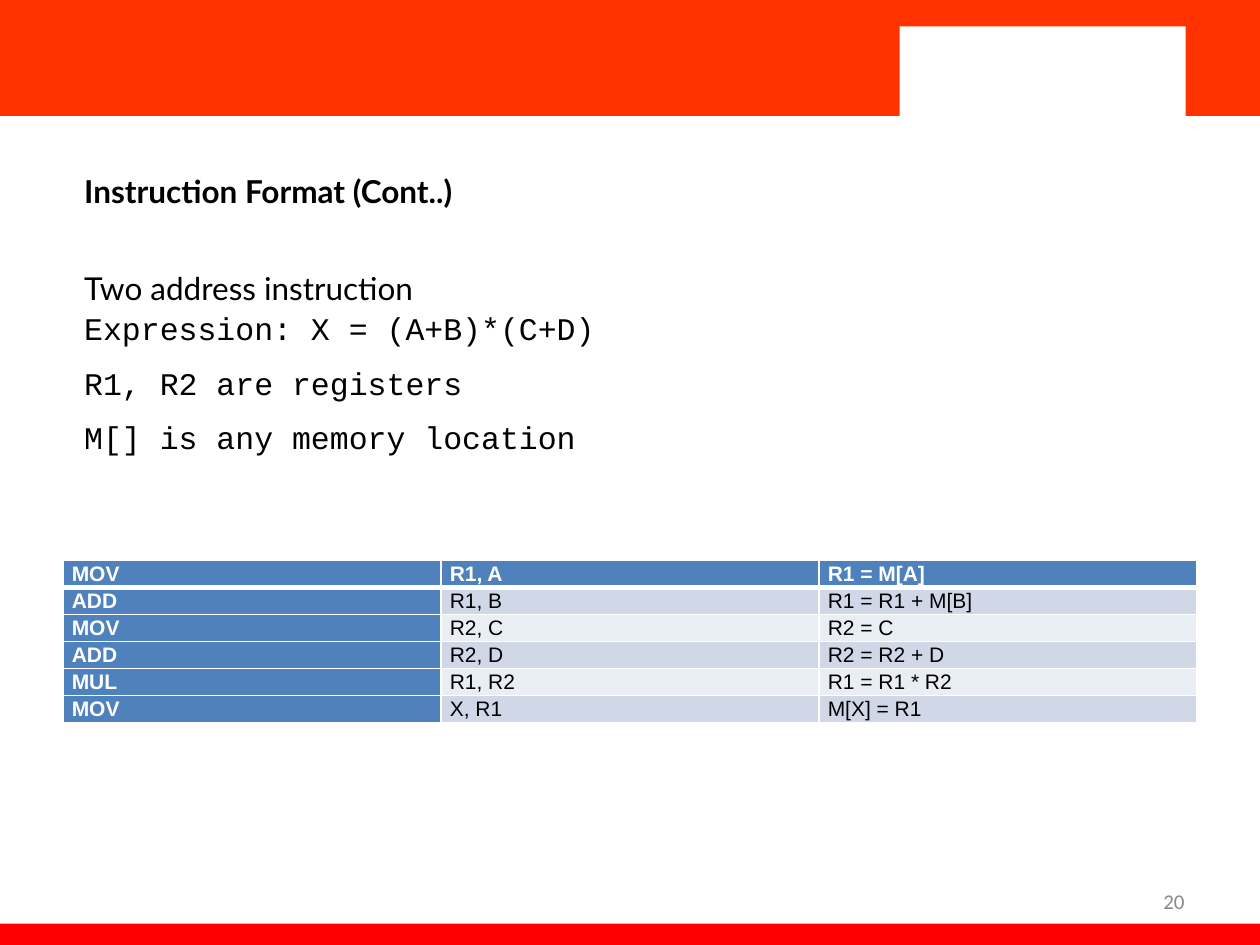
"""Build the slide on two address instructions."""
from lxml import etree
from pptx import Presentation
from pptx.dml.color import RGBColor
from pptx.enum.shapes import MSO_SHAPE
from pptx.enum.text import MSO_ANCHOR, PP_ALIGN
from pptx.oxml.ns import qn
from pptx.util import Inches, Pt

RECT = MSO_SHAPE.RECTANGLE
MIDDLE = MSO_ANCHOR.MIDDLE
LEFT, RIGHT, JUST = PP_ALIGN.LEFT, PP_ALIGN.RIGHT, PP_ALIGN.JUSTIFY

HUES = {
    "banner": "FF3300", "footer": "FF0000", "white": "FFFFFF",
    "black": "000000", "grey": "898989", "head": "4F81BD",
    "odd": "D0D8E8", "even": "E9EDF4",
}
BARS = [
    ("banner", 0, 0, 10, 0.92),
    ("footer", 0, 7.33, 10, 0.17),
    ("white", 7.14, 0.21, 2.27, 0.75),
]
TITLE = "Instruction Format (Cont..)"
TOPIC = "Two address instruction"
NOTES = [
    "Expression: X = (A+B)*(C+D)",
    "R1, R2 are registers",
    "M[] is any memory location",
]
NUMBER = "20"
CODE = [
    ("MOV", "R1, A", "R1 = M[A]"),
    ("ADD", "R1, B", "R1 = R1 + M[B]"),
    ("MOV", "R2, C", "R2 = C"),
    ("ADD", "R2, D", "R2 = R2 + D"),
    ("MUL", "R1, R2", "R1 = R1 * R2"),
    ("MOV", "X, R1", "M[X] = R1"),
]
ROW = 0.2


def color(name):
    return RGBColor.from_string(HUES[name])


def style(para, font, size, hue="black", bold=False, align=LEFT, line=1.0, after=0):
    para.alignment = align
    para.line_spacing = line
    para.space_after = Pt(after)
    for run in para.runs:
        run.font.name = font
        run.font.size = Pt(size)
        run.font.bold = bold
        run.font.color.rgb = color(hue)


def add_bar(slide, hue, *place):
    bar = slide.shapes.add_shape(RECT, *map(Inches, place))
    bar.shadow.inherit = False
    bar.fill.solid()
    bar.fill.fore_color.rgb = color(hue)
    bar.line.fill.background()


def add_text(slide, text, place, top=0.04, base=0.05):
    frame = slide.shapes.add_textbox(*map(Inches, place)).text_frame
    frame.word_wrap = True
    frame.vertical_anchor = MIDDLE
    frame.margin_top, frame.margin_bottom = Inches(top), Inches(base)
    frame.text = text
    return frame.paragraphs


def add_edges(cell, base):
    props = cell._tc.get_or_add_tcPr()
    edges = [("a:lnL", 1), ("a:lnR", 1), ("a:lnT", 1), ("a:lnB", base)]
    for spot, (tag, width) in enumerate(edges):
        edge = etree.Element(qn(tag), w=str(Pt(width)))
        fill = etree.SubElement(edge, qn("a:solidFill"))
        etree.SubElement(fill, qn("a:srgbClr"), val=HUES["white"])
        props.insert(spot, edge)


def add_code(slide):
    place = map(Inches, (0.5, 4.45, 9, ROW * len(CODE)))
    table = slide.shapes.add_table(len(CODE), len(CODE[0]), *place).table
    table.first_col = True
    for r, line in enumerate(CODE):
        table.rows[r].height = Inches(ROW)
        for c, text in enumerate(line):
            cell = table.cell(r, c)
            head = r == 0 or c == 0
            cell.text = text
            cell.margin_left = cell.margin_right = Inches(0.07)
            cell.margin_top = cell.margin_bottom = 0
            style(cell.text_frame.paragraphs[0], "Arial", 12,
                  "white" if head else "black", head, line=1.07, after=8)
            cell.fill.solid()
            cell.fill.fore_color.rgb = color("head" if head else "odd" if r % 2 else "even")
            add_edges(cell, 1 if r else 3)


def main():
    deck = Presentation()
    deck.slide_width, deck.slide_height = Inches(10), Inches(7.5)
    slide = deck.slides.add_slide(deck.slide_layouts[6])
    for bar in BARS:
        add_bar(slide, *bar)
    number = add_text(slide, NUMBER, (7.17, 6.95, 2.33, 0.4), top=0.05)
    style(number[0], "Calibri", 12, "grey", align=RIGHT)
    title = add_text(slide, TITLE, (0.57, 1.05, 8.8, 0.79))
    style(title[0], "Lato", 18, bold=True, line=1.5)
    body = add_text(slide, "\n".join([TOPIC, *NOTES]), (0.57, 1.52, 8.8, 3.12), base=0.6)
    style(body[0], "Lato", 18, align=JUST, line=1.5)
    for para in body[1:]:
        style(para, "Courier New", 18, line=1.07, after=8)
    add_code(slide)
    deck.save("out.pptx")


if __name__ == "__main__":
    main()
